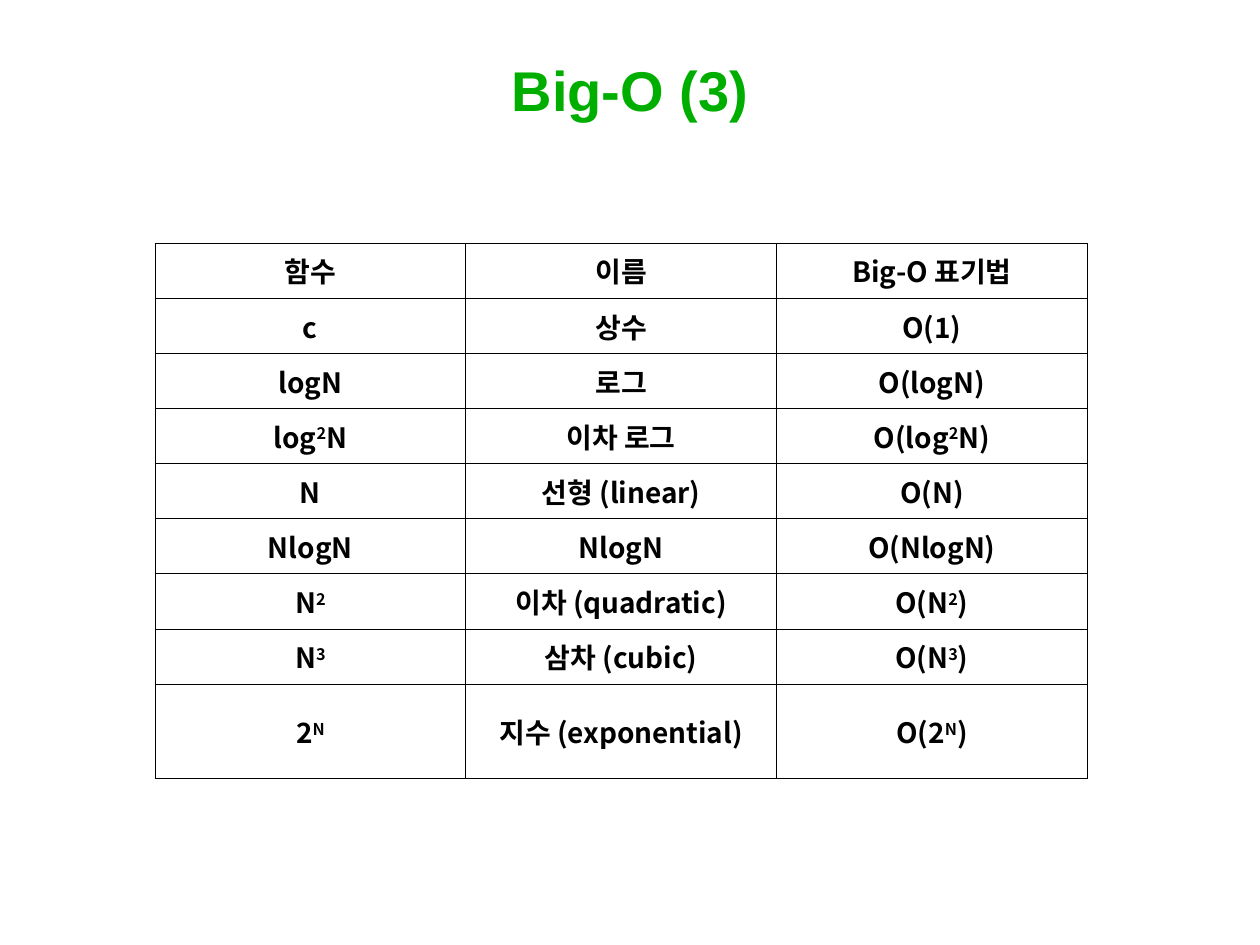
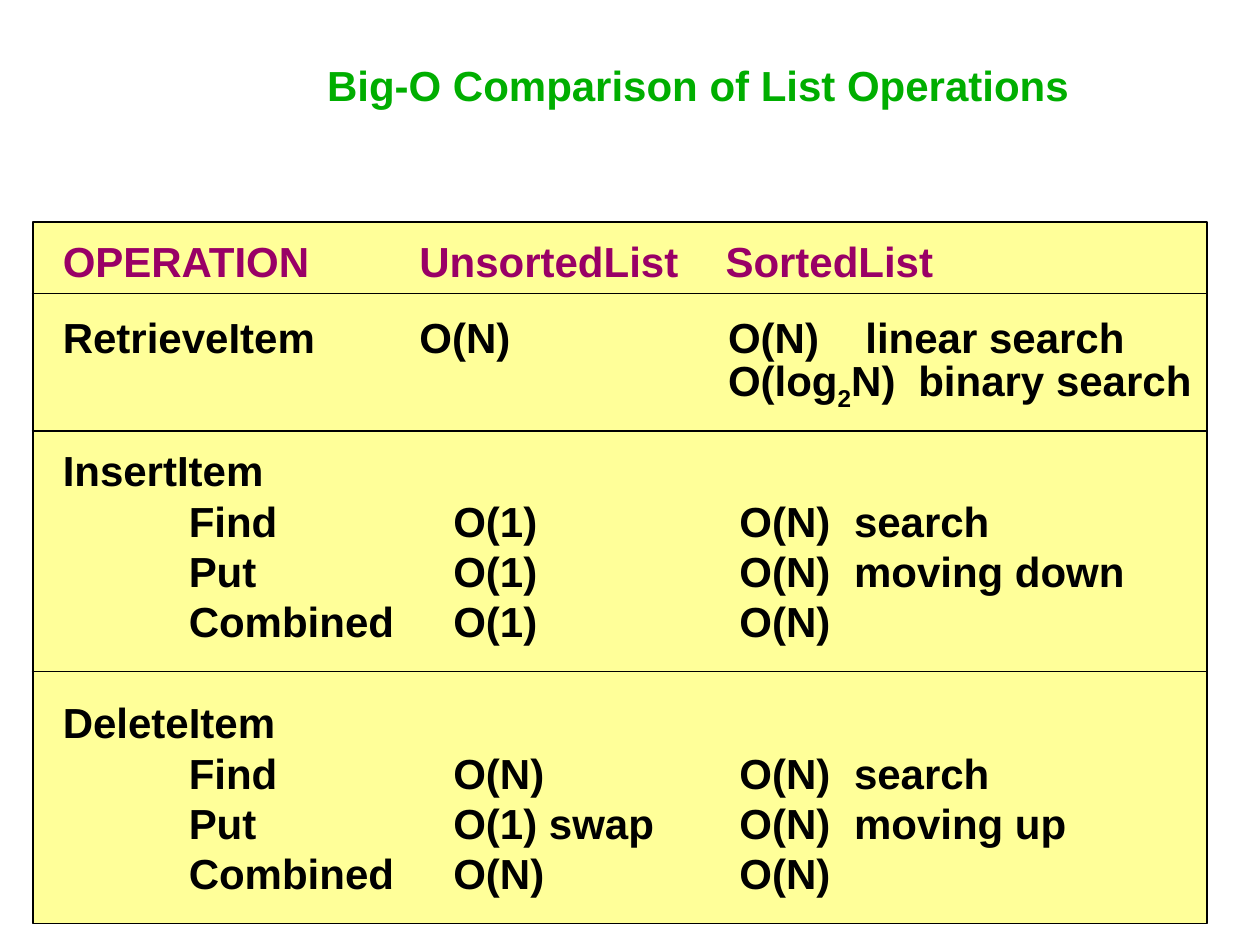
from dataclasses import dataclass

from lxml.etree import SubElement
from pptx import Presentation
from pptx.dml.color import RGBColor
from pptx.enum.shapes import MSO_CONNECTOR, MSO_SHAPE
from pptx.enum.text import MSO_ANCHOR, PP_ALIGN
from pptx.oxml.ns import qn
from pptx.util import Emu, Inches, Pt


@dataclass(frozen=True)
class Theme:
    green: str = "00AE00"
    plum: str = "990066"
    black: str = "000000"
    cream: str = "FFFF99"
    latin: str = "Arial"
    hangul: str = "Noto Sans CJK KR"
    large: float = 32
    body: float = 24
    cell: float = 16
    pitch: float = 28.8
    rule: float = 1
    thin: float = 0.45
    thick: float = 0.96


class Deck:
    """Draws on a grid of 100 columns by 75 rows."""

    def __init__(self, theme):
        self.theme = theme
        self.prs = Presentation()
        self.prs.slide_width, self.prs.slide_height = Inches(10), Inches(7.5)
        self.slide = None

    def page(self):
        self.slide = self.prs.slides.add_slide(self.prs.slide_layouts[6])

    def col(self, n):
        return Emu(round(self.prs.slide_width * n / 100))

    def row(self, n):
        return Emu(round(self.prs.slide_height * n / 75))

    def area(self, x, y, w, h):
        return self.col(x), self.row(y), self.col(w), self.row(h)

    def label(self, par, text, size, color, face=None, shift=0):
        """Fill a paragraph; a part between ^ marks is raised or lowered."""
        face = face or self.theme.latin
        font = par.font
        font.size, font.bold, font.name = Pt(size), True, face
        font.color.rgb = RGBColor.from_string(color)
        SubElement(font._element, qn("a:ea"), typeface=face)
        for i, part in enumerate(text.split("^")):
            if part:
                run = par.add_run()
                run.text = part
                if i % 2:
                    run.font._element.set("baseline", str(shift * 1000))

    def tabs(self, par, stops):
        group = SubElement(par._p.get_or_add_pPr(), qn("a:tabLst"))
        for stop in stops:
            SubElement(group, qn("a:tab"), pos=str(self.col(stop)), algn="l")

    def box(self, place):
        frame = self.slide.shapes.add_textbox(*self.area(*place)).text_frame
        frame.word_wrap = True
        return frame

    def title(self, text, place, size, anchor):
        frame = self.box(place)
        frame.vertical_anchor = anchor
        par = frame.paragraphs[0]
        par.alignment = PP_ALIGN.CENTER
        self.label(par, text, size, self.theme.green)

    def lines(self, place, items):
        """Set (text, tab stops, colour, space before) items, one a line."""
        frame = self.box(place)
        for i, (text, stops, color, gap) in enumerate(items):
            par = frame.add_paragraph() if i else frame.paragraphs[0]
            par.line_spacing, par.space_before = Pt(self.theme.pitch), Pt(gap)
            self.tabs(par, stops)
            self.label(par, text, self.theme.body, color, shift=-25)

    def panel(self, place):
        shape = self.slide.shapes.add_shape(MSO_SHAPE.RECTANGLE, *self.area(*place))
        shape.shadow.inherit = False
        shape.fill.solid()
        shape.fill.fore_color.rgb = RGBColor.from_string(self.theme.cream)
        shape.line.color.rgb = RGBColor.from_string(self.theme.black)
        shape.line.width = Pt(self.theme.rule)

    def rule(self, left, right, y):
        line = self.slide.shapes.add_connector(
            MSO_CONNECTOR.STRAIGHT, self.col(left), self.row(y), self.col(right), self.row(y))
        line.line.color.rgb = RGBColor.from_string(self.theme.black)
        line.line.width = Pt(self.theme.rule)
        SubElement(line._element.spPr, qn("a:effectLst"))

    def edge(self, cell, side, width):
        line = SubElement(cell._tc.get_or_add_tcPr(), qn(f"a:ln{side}"), w=str(Pt(width)))
        fill = SubElement(line, qn("a:solidFill"))
        SubElement(fill, qn("a:srgbClr"), val=self.theme.black)

    def table(self, place, rows, heights):
        theme = self.theme
        table = self.slide.shapes.add_table(
            len(rows), len(rows[0]), *self.area(*place)).table
        table.first_row = table.horz_banding = False
        for r, (texts, height) in enumerate(zip(rows, heights)):
            table.rows[r].height = self.row(height)
            for c, text in enumerate(texts):
                cell = table.cell(r, c)
                cell.vertical_anchor = MSO_ANCHOR.MIDDLE
                for side in "LRTB":
                    head = (r, side) in ((0, "B"), (1, "T"))
                    self.edge(cell, side, theme.thick if head else theme.thin)
                cell.fill.background()
                par = cell.text_frame.paragraphs[0]
                par.alignment = PP_ALIGN.CENTER
                self.label(par, text, theme.cell, theme.black, theme.hangul, 30)


def orders(deck):
    deck.page()
    deck.title("Big-O (3)", (7.5, 3.3, 85, 7.5), deck.theme.large, MSO_ANCHOR.MIDDLE)
    names = [
        ("c", "상수"), ("logN", "로그"), ("log^2^N", "이차 로그"),
        ("N", "선형 (linear)"), ("NlogN", "NlogN"), ("N^2^", "이차 (quadratic)"),
        ("N^3^", "삼차 (cubic)"), ("2^N^", "지수 (exponential)"),
    ]
    rows = [("함수", "이름", "Big-O 표기법")]
    rows += [(f, name, f"O({'1' if f == 'c' else f})") for f, name in names]
    deck.table((12.3, 19.3, 74, 42.5), rows, [35 / 8] * 8 + [7.5])


def costs(deck):
    theme = deck.theme
    deck.page()
    deck.title("Big-O Comparison of List Operations", (18.3, 2.5, 74.2, 6.7),
               theme.body, MSO_ANCHOR.BOTTOM)
    deck.panel((2.6, 17.6, 93.2, 55.7))

    # Header and retrieval
    deck.lines((4, 18.2, 93.5, 15.6), [
        ("OPERATION\tUnsortedList\tSortedList", (28.3, 52.6), theme.plum, 0),
        ("RetrieveItem\tO(N)\tO(N)\tlinear search", (28.3, 52.8, 63.7), theme.black, 14.4),
        ("\tO(log^2^N)\tbinary search", (52.8, 67.9), theme.black, 0),
    ])
    for y in (23.3, 34.2, 53.3):
        deck.rule(2.5, 95.8, y)

    # Insertion and deletion
    steps = (10, 31, 53.7, 62.8)
    groups = [
        (34.8, ("InsertItem", "\tFind\tO(1)\tO(N)\tsearch",
                "\tPut\tO(1)\tO(N)\tmoving down", "\tCombined\tO(1)\tO(N)")),
        (54.8, ("DeleteItem", "\tFind\tO(N)\tO(N)\tsearch",
                "\tPut\tO(1) swap\tO(N)\tmoving up", "\tCombined\tO(N)\tO(N)")),
    ]
    for y, texts in groups:
        deck.lines((4, y, 87.7, 17), [(text, steps, theme.black, 0) for text in texts])


def main():
    deck = Deck(Theme())
    orders(deck)
    costs(deck)
    deck.prs.save("out.pptx")


if __name__ == "__main__":
    main()
